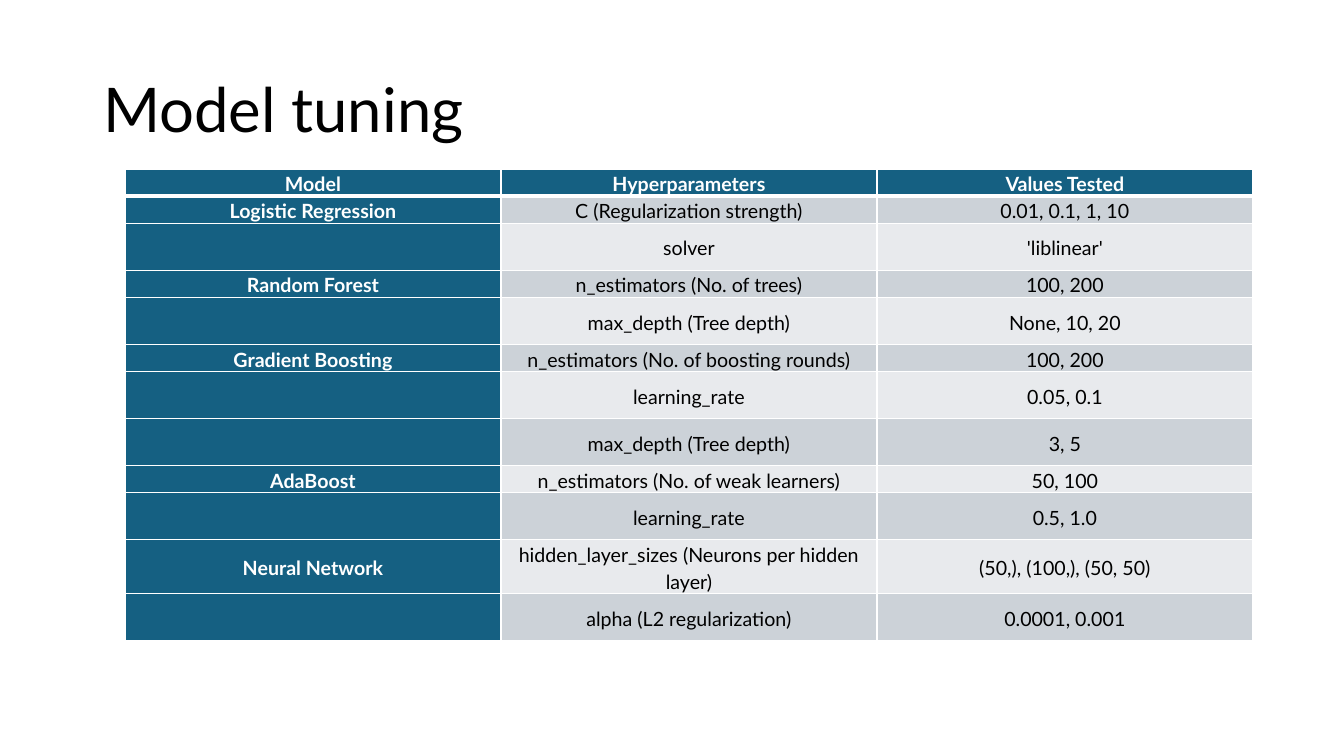
from dataclasses import dataclass

from lxml.etree import SubElement
from pptx import Presentation
from pptx.dml.color import RGBColor
from pptx.enum.text import MSO_ANCHOR, PP_ALIGN
from pptx.oxml.ns import qn
from pptx.slide import Slide
from pptx.table import _Cell
from pptx.text.text import _Paragraph
from pptx.util import Emu, Pt

EMU_PER_INCH = 914400
PX_PER_INCH = 100.8
FONT = "Lato"
WHITE = RGBColor(0xFF, 0xFF, 0xFF)
BLACK = RGBColor(0x00, 0x00, 0x00)
TEAL = RGBColor(0x15, 0x60, 0x82)
DARK_BAND = RGBColor(0xCC, 0xD2, 0xD8)
LIGHT_BAND = RGBColor(0xE8, 0xEA, 0xED)

COLUMN_WIDTH = 376
SINGLE_LINE, ROOMY, TWO_LINES = 27, 47, 54


@dataclass(frozen=True)
class TuningRow:
    model: str
    hyperparameter: str
    values: str
    height: int = SINGLE_LINE


TUNING_ROWS = [
    TuningRow("Model", "Hyperparameters", "Values Tested"),
    TuningRow("Logistic Regression", "C (Regularization strength)", "0.01, 0.1, 1, 10"),
    TuningRow("", "solver", "'liblinear'", ROOMY),
    TuningRow("Random Forest", "n_estimators (No. of trees)", "100, 200"),
    TuningRow("", "max_depth (Tree depth)", "None, 10, 20", ROOMY),
    TuningRow("Gradient Boosting", "n_estimators (No. of boosting rounds)", "100, 200"),
    TuningRow("", "learning_rate", "0.05, 0.1", ROOMY),
    TuningRow("", "max_depth (Tree depth)", "3, 5", ROOMY),
    TuningRow("AdaBoost", "n_estimators (No. of weak learners)", "50, 100"),
    TuningRow("", "learning_rate", "0.5, 1.0", ROOMY),
    TuningRow("Neural Network", "hidden_layer_sizes (Neurons per hidden layer)",
              "(50,), (100,), (50, 50)", TWO_LINES),
    TuningRow("", "alpha (L2 regularization)", "0.0001, 0.001", ROOMY),
]


def px(length: int) -> Emu:
    return Emu(round(length * EMU_PER_INCH / PX_PER_INCH))


def format_runs(paragraph: _Paragraph, size: int, color: RGBColor, bold: bool) -> None:
    for run in paragraph.runs:
        run.font.name = FONT
        run.font.size = Pt(size)
        run.font.bold = bold
        run.font.color.rgb = color


def add_borders(cell: _Cell, top: int, bottom: int) -> None:
    properties = cell._tc.get_or_add_tcPr()
    for side, points in (("L", 1), ("R", 1), ("T", top), ("B", bottom)):
        border = SubElement(properties, qn(f"a:ln{side}"), w=str(Pt(points)))
        border_fill = SubElement(border, qn("a:solidFill"))
        SubElement(border_fill, qn("a:srgbClr"), val=str(WHITE))


def fill_cell(cell: _Cell, text: str, row: int, column: int) -> None:
    heading = row == 0 or column == 0
    cell.text_frame.text = text
    cell.vertical_anchor = MSO_ANCHOR.MIDDLE
    cell.margin_left = cell.margin_right = px(7)
    cell.margin_top = cell.margin_bottom = 0
    paragraph = cell.text_frame.paragraphs[0]
    paragraph.alignment = PP_ALIGN.CENTER
    paragraph.line_spacing = 1.15
    paragraph.space_after = Pt(8)
    format_runs(paragraph, 14, WHITE if heading else BLACK, heading)
    add_borders(cell, top=3 if row == 1 else 1, bottom=3 if row == 0 else 1)
    cell.fill.solid()
    band = DARK_BAND if row % 2 else LIGHT_BAND
    cell.fill.fore_color.rgb = TEAL if heading else band


def add_heading(slide: Slide, text: str) -> None:
    heading = slide.shapes.title
    heading.left, heading.top, heading.width, heading.height = map(px, (93, 40, 1159, 146))
    heading.text_frame.text = text
    heading.text_frame.vertical_anchor = MSO_ANCHOR.MIDDLE
    paragraph = heading.text_frame.paragraphs[0]
    paragraph.alignment = PP_ALIGN.LEFT
    paragraph.line_spacing = 0.9
    format_runs(paragraph, 44, BLACK, False)


def add_tuning_table(slide: Slide, rows: list[TuningRow]) -> None:
    height = sum(row.height for row in rows)
    tuning = slide.shapes.add_table(
        len(rows), 3, px(125), px(169), px(3 * COLUMN_WIDTH), px(height)
    ).table
    for column in tuning.columns:
        column.width = px(COLUMN_WIDTH)
    for row_index, row in enumerate(rows):
        tuning.rows[row_index].height = px(row.height)
        for column_index, text in enumerate((row.model, row.hyperparameter, row.values)):
            fill_cell(tuning.cell(row_index, column_index), text, row_index, column_index)


def main() -> None:
    presentation = Presentation()
    presentation.slide_width = px(1344)
    presentation.slide_height = px(756)
    slide = presentation.slides.add_slide(presentation.slide_layouts[5])
    add_heading(slide, "Model tuning")
    add_tuning_table(slide, TUNING_ROWS)
    presentation.save("out.pptx")


if __name__ == "__main__":
    main()
